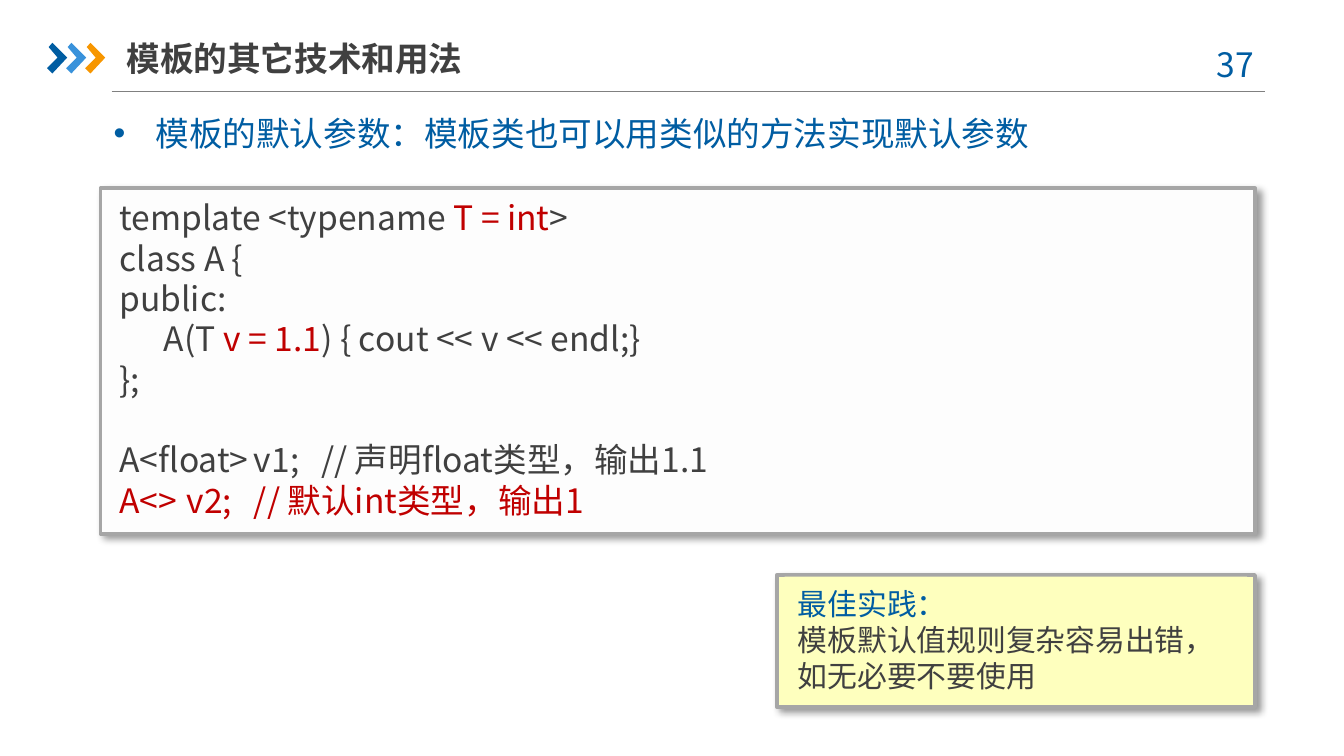
from dataclasses import dataclass

from lxml import etree
from pptx import Presentation
from pptx.dml.color import RGBColor
from pptx.enum.shapes import MSO_CONNECTOR as Connector, MSO_SHAPE as Shape
from pptx.enum.text import MSO_ANCHOR as Anchor, PP_ALIGN as Align
from pptx.oxml.ns import qn
from pptx.util import Cm, Pt


@dataclass(frozen=True)
class Theme:
    font: str = "Noto Sans CJK SC"
    blue: str = "005DA2"
    sky: str = "3992DB"
    orange: str = "F79600"
    ink: str = "404040"
    red: str = "C00000"
    rule: str = "808080"
    border: str = "A6A6A6"
    paper: str = "FDFDFD"
    yellow: str = "FEFFBE"
    body: float = 18
    small: float = 16
    leading: float = 1.2


def color(value):
    return RGBColor.from_string(value)


def child(parent, tag, **attributes):
    node = etree.SubElement(parent, qn(tag))
    for name, value in attributes.items():
        node.set(name, str(value))
    return node


def write(para, text, theme, size=None, ink=None, bold=False):
    """Add a formatted span; a newline in the text becomes a line break."""
    for index, line in enumerate(text.split("\n")):
        if index:
            para.add_line_break()
        if not line:
            continue
        span = para.add_run()
        span.text = line
        font = span.font
        font.name, font.size, font.bold = theme.font, Pt(size or theme.body), bold
        font.color.rgb = color(ink or theme.ink)
        child(font._element, "a:ea", typeface=theme.font)


class SlideBuilder:
    def __init__(self, page, theme):
        self.page, self.theme = page, theme

    def rule(self, left, right, y):
        line = self.page.shapes.add_connector(
            Connector.STRAIGHT, Cm(left), Cm(y), Cm(right), Cm(y))
        line.line.color.rgb = color(self.theme.rule)
        line.line.width = Pt(0.75)
        child(line._element.spPr, "a:effectLst")

    def chevron(self, left, top, fill):
        outline = [(0.03, 0.08), (0.1, 0), (0.38, 0.28),
                   (0.1, 0.58), (0, 0.48), (0.2, 0.28)]
        points = [(Cm(left + x), Cm(top + y)) for x, y in outline]
        builder = self.page.shapes.build_freeform(*points[0])
        builder.add_line_segments(points[1:], close=True)
        self.paint(builder.convert_to_shape(), fill)

    def paint(self, shape, fill):
        shape.shadow.inherit = False
        shape.fill.solid()
        shape.fill.fore_color.rgb = color(fill)
        shape.line.fill.background()

    def panel(self, left, top, width, height, fill):
        """Draw a bordered rectangle with a soft shadow."""
        box = self.page.shapes.add_shape(
            Shape.RECTANGLE, Cm(left), Cm(top), Cm(width), Cm(height))
        self.paint(box, fill)
        box.line.color.rgb = color(self.theme.border)
        box.line.width = Pt(2)
        effects = box._element.spPr.find(qn("a:effectLst"))
        shadow = child(effects, "a:outerShdw", blurRad=Pt(4), dist=Pt(3),
                       dir=45 * 60000, algn="tl", rotWithShape=0)
        black = child(shadow, "a:srgbClr", val="000000")
        child(black, "a:alpha", val=40000)

    def text(self, left, top, width, height, fill=None, side=0.25, anchor=Anchor.TOP):
        """Add an empty text box and return its frame."""
        box = self.page.shapes.add_textbox(Cm(left), Cm(top), Cm(width), Cm(height))
        if fill:
            self.paint(box, fill)
        frame = box.text_frame
        frame.word_wrap, frame.vertical_anchor = True, anchor
        frame.margin_left = frame.margin_right = Cm(side)
        frame.margin_top = Cm(0.13 if anchor == Anchor.MIDDLE else 0.17)
        frame.margin_bottom = Cm(0.13)
        return frame

    def para(self, frame, spans, size=None, align=Align.LEFT, before=0, after=0,
             indent=0, bullet=None, tabs=(), bold=False):
        """Fill the next paragraph from (text, ink) pairs."""
        para = frame.paragraphs[-1]
        if para.runs:
            para = frame.add_paragraph()
        size = size or self.theme.body
        para.alignment = align
        para.line_spacing = Pt(size * self.theme.leading)
        para.space_before, para.space_after = Pt(before), Pt(after)
        props = para._element.get_or_add_pPr()
        props.set("marL", str(Cm(indent)))
        props.set("indent", str(-Cm(indent) if bullet else 0))
        if bullet:
            child(props, "a:buFont", typeface="Arial")
            child(props, "a:buChar", char=bullet)
        if tabs:
            stops = child(props, "a:tabLst")
            for stop in tabs:
                child(stops, "a:tab", pos=Cm(stop), algn="l")
        for text, ink in spans:
            write(para, text, self.theme, size=size, ink=ink, bold=bold)


def main():
    theme = Theme()
    deck = Presentation()
    deck.slide_width, deck.slide_height = Cm(25.4), Cm(14.29)
    slide = SlideBuilder(deck.slides.add_slide(deck.slide_layouts[6]), theme)
    ink, red, blue = theme.ink, theme.red, theme.blue

    slide.rule(2.11, 23.9, 1.73)
    for index, fill in enumerate((blue, theme.sky, theme.orange)):
        slide.chevron(0.89 + 0.36 * index, 0.81, fill)

    number = slide.text(22.42, 0.66, 1.85, 1.02)
    slide.para(number, [("37", blue)], align=Align.CENTER)
    title = slide.text(2.39, 0.56, 6.8, 1.07, side=0, anchor=Anchor.MIDDLE)
    slide.para(title, [("模板的其它技术和用法", ink)], bold=True)
    topic = slide.text(1.9, 1.96, 22, 1.02)
    slide.para(topic, [("模板的默认参数：模板类也可以用类似的方法实现默认参数", blue)],
               align=Align.JUSTIFY, after=12, indent=0.79, bullet="•")

    slide.panel(1.9, 3.56, 21.82, 6.53, theme.paper)
    code = slide.text(2.01, 3.56, 21.03, 6.4)
    code_lines = [
        ([("template <typename ", ink), ("T = int", red), (">", ink)], {}),
        ([("class A {", ink)], {}),
        ([("public:", ink)], {}),
        ([("A(T ", ink), ("v = 1.1", red), (") { cout << v << endl;}", ink)],
         {"indent": 0.84}),
        ([("};", ink)], {}),
        ([("A<float>\tv1;\t// 声明float类型，输出1.1", ink)],
         {"before": theme.body * theme.leading, "tabs": (2.73, 5.08)}),
        ([("A<>\tv2;\t// 默认int类型，输出1", red)], {"tabs": (2.54, 5.08)}),
    ]
    for spans, layout in code_lines:
        slide.para(code, spans, **layout)

    slide.panel(14.68, 10.87, 9.04, 2.49, theme.yellow)
    note = slide.text(14.83, 10.9, 8.74, 2.11, fill=theme.yellow)
    slide.para(note, [("最佳实践：\n", blue),
                      ("模板默认值规则复杂容易出错，如无必要不要使用", ink)],
               size=theme.small, after=6)

    deck.save("out.pptx")


if __name__ == "__main__":
    main()
